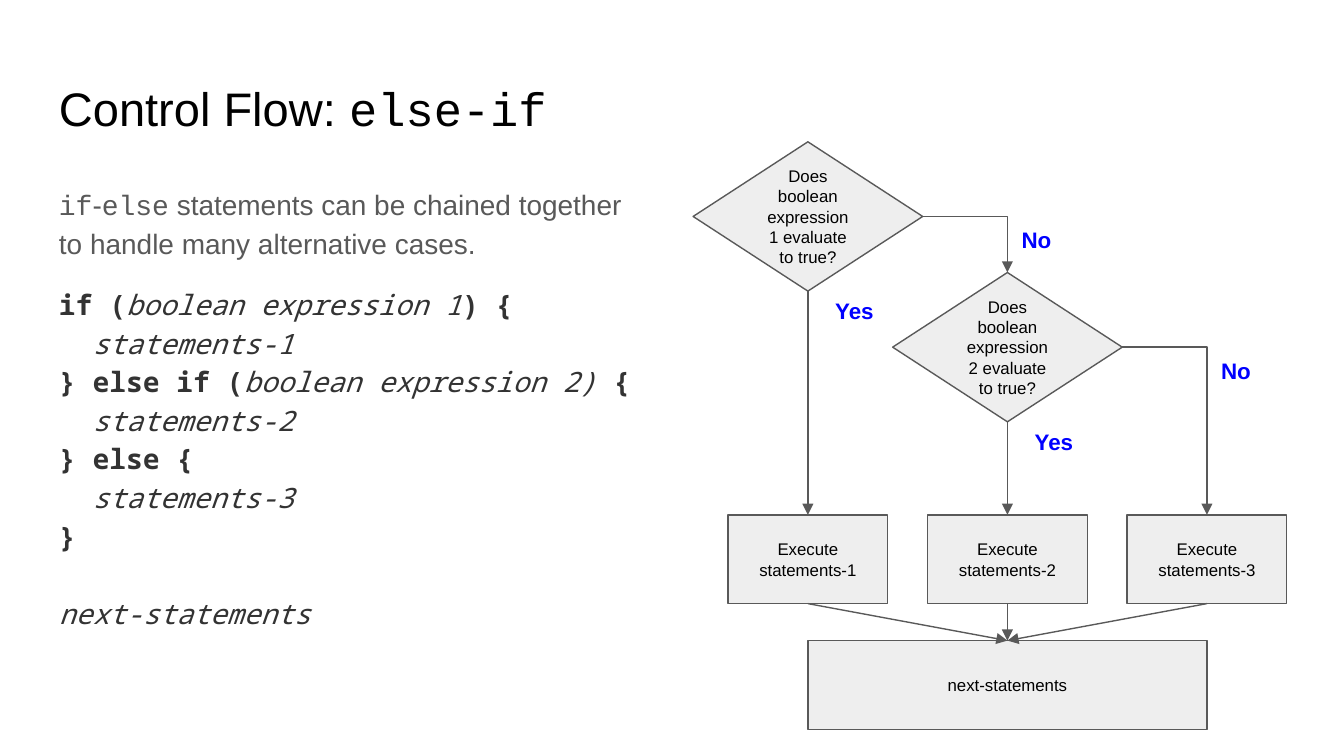
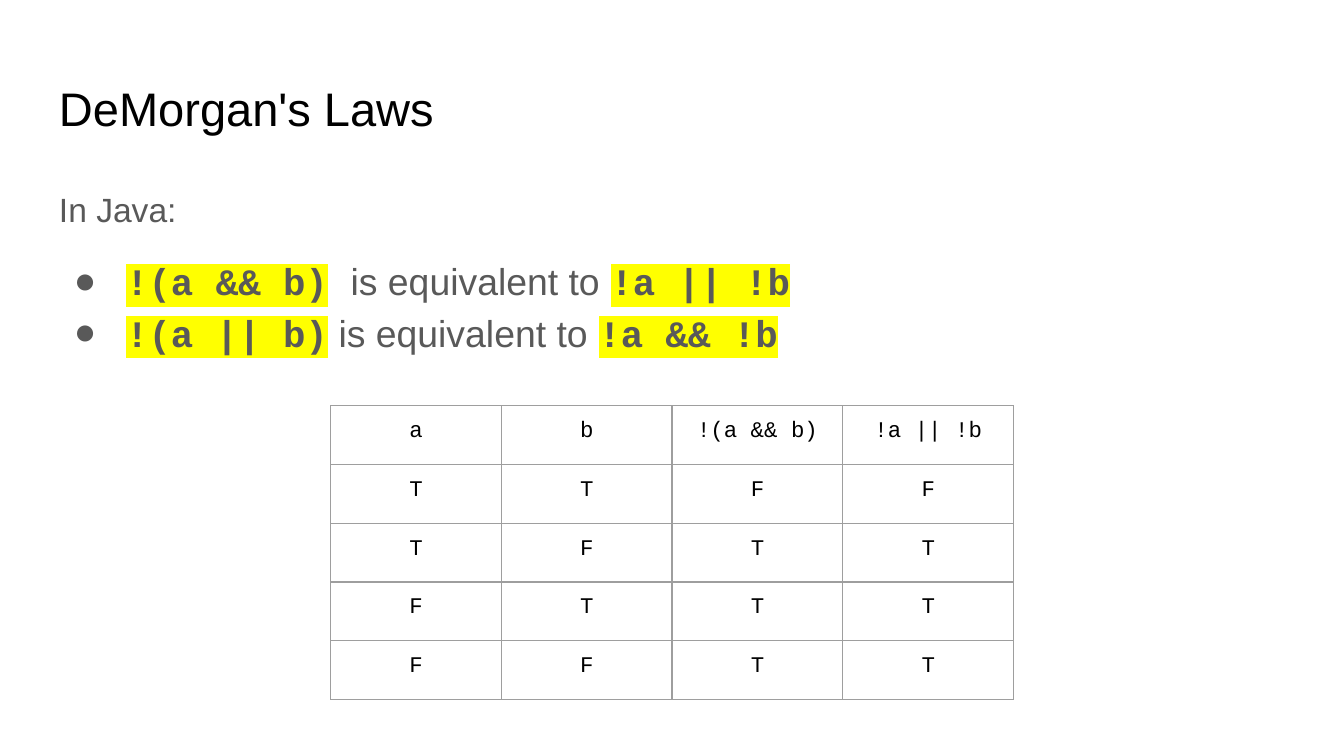
from dataclasses import dataclass
from typing import Any, Sequence

from lxml.etree import SubElement
from pptx import Presentation
from pptx.dml.color import RGBColor
from pptx.enum.shapes import MSO_CONNECTOR as ConnectorKind
from pptx.enum.shapes import MSO_SHAPE as ShapeKind
from pptx.enum.text import MSO_ANCHOR as Anchor
from pptx.enum.text import PP_ALIGN as Align
from pptx.oxml.ns import qn
from pptx.util import Pt

# Colours and fonts
BLACK = RGBColor(0x00, 0x00, 0x00)
GREY = RGBColor(0x59, 0x59, 0x59)
DARK = RGBColor(0x33, 0x33, 0x33)
BLUE = RGBColor(0x00, 0x00, 0xFF)
YELLOW = RGBColor(0xFF, 0xFF, 0x00)
NODE_FILL = RGBColor(0xEE, 0xEE, 0xEE)
GRID = RGBColor(0x9E, 0x9E, 0x9E)
SANS, COURIER, MONO = "Arial", "Courier New", "Noto Sans Mono"

Format = dict[str, Any]
INSET = Pt(7.2)
LINE_WIDTH = Pt(0.75)
LEFT = 24.5

# Text formats
TITLE: Format = dict(name=SANS, size=Pt(25.2), color=BLACK)
TITLE_CODE = TITLE | dict(name=COURIER)
BODY: Format = dict(name=SANS, size=Pt(15), color=GREY)
BODY_CODE = BODY | dict(name=COURIER)
KEYWORD: Format = dict(name=MONO, size=Pt(15), color=DARK, bold=True)
BLANK_PART = KEYWORD | dict(bold=False, italic=True)
INTRO = BODY | dict(size=Pt(18))
LAW = BODY | dict(size=Pt(20))
LAW_CODE = LAW | dict(name=COURIER, bold=True)
MARKED = LAW_CODE | dict(highlight=YELLOW)
NODE: Format = dict(name=SANS, size=Pt(9), color=BLACK)
ANSWER: Format = dict(name=SANS, size=Pt(12), color=BLUE, bold=True)
CELL: Format = dict(name=COURIER, size=Pt(12), color=BLACK)


@dataclass(frozen=True)
class Span:
    text: str
    style: Format


@dataclass(frozen=True)
class Para:
    spans: Sequence[Span]
    before: float = 0
    spacing: float | None = None
    align: Align | None = None
    bullet: bool = False


@dataclass(frozen=True)
class Area:
    left: float
    top: float
    width: float
    height: float

    def lengths(self) -> list[Pt]:
        return [Pt(v) for v in (self.left, self.top, self.width, self.height)]


def add_span(paragraph, span: Span) -> None:
    run = paragraph.add_run()
    run.text = span.text
    for key, value in span.style.items():
        if key == "color":
            run.font.color.rgb = value
        elif key != "highlight":
            setattr(run.font, key, value)
    if "highlight" in span.style:
        properties = run.font._element
        mark = SubElement(properties, qn("a:highlight"))
        SubElement(mark, qn("a:srgbClr"), val=str(span.style["highlight"]))
        properties.find(qn("a:solidFill")).addnext(mark)


def add_bullet(paragraph) -> None:
    properties = paragraph._p.get_or_add_pPr()
    properties.set("marL", str(Pt(36)))
    properties.set("indent", str(-Pt(28)))
    color = SubElement(properties, qn("a:buClr"))
    SubElement(color, qn("a:srgbClr"), val=str(GREY))
    SubElement(properties, qn("a:buFont"), typeface=SANS)
    SubElement(properties, qn("a:buChar"), char="●")


def write(frame, paras: Sequence[Para], anchor: Anchor = Anchor.TOP) -> None:
    layout = dict(word_wrap=True, vertical_anchor=anchor, margin_left=INSET,
                  margin_right=INSET, margin_top=INSET, margin_bottom=INSET)
    for key, value in layout.items():
        setattr(frame, key, value)
    for index, para in enumerate(paras):
        paragraph = frame.add_paragraph() if index else frame.paragraphs[0]
        if para.bullet:
            add_bullet(paragraph)
        values = dict(alignment=para.align, line_spacing=para.spacing,
                      space_before=Pt(para.before))
        for key, value in values.items():
            setattr(paragraph, key, value)
        for span in para.spans:
            add_span(paragraph, span)


def add_text(page, area: Area, paras: Sequence[Para]) -> None:
    write(page.shapes.add_textbox(*area.lengths()).text_frame, paras)


def add_page(deck, title: Sequence[Span]):
    page = deck.slides.add_slide(deck.slide_layouts[6])
    page.background.fill.solid()
    page.background.fill.fore_color.rgb = RGBColor(0xFF, 0xFF, 0xFF)
    add_text(page, Area(LEFT, 35.3, 671, 45.4), [Para(title)])
    return page


def add_node(page, kind: ShapeKind, area: Area, text: str):
    box = page.shapes.add_shape(kind, *area.lengths())
    box.shadow.inherit = False
    box.fill.solid()
    box.fill.fore_color.rgb = NODE_FILL
    box.line.color.rgb = GREY
    box.line.width = LINE_WIDTH
    write(box.text_frame, [Para([Span(text, NODE)], align=Align.CENTER)], Anchor.MIDDLE)
    return box


# Connection sites of diamonds and rectangles
TOP, BOTTOM, RIGHT = 0, 2, 3


def add_arrow(page, source, target, site: int = BOTTOM) -> None:
    bent = site == RIGHT
    kind = ConnectorKind.ELBOW if bent else ConnectorKind.STRAIGHT
    arrow = page.shapes.add_connector(kind, 0, 0, 0, 0)
    arrow.begin_connect(source, site)
    arrow.end_connect(target, TOP)
    arrow.line.color.rgb = GREY
    arrow.line.width = LINE_WIDTH
    properties = arrow._element.spPr
    if bent:
        properties.find(qn("a:prstGeom")).set("prst", "bentConnector2")
    SubElement(properties.find(qn("a:ln")), qn("a:tailEnd"), type="triangle")
    SubElement(properties, qn("a:effectLst"))


# Flowchart: one lane for each branch
LANES = [432.8 + 106.9 * i for i in range(3)]
DIAMOND_WIDTH, DIAMOND_HEIGHT, DIAMOND_TOP, DIAMOND_STEP = 123, 80, 76, 70
BOX_WIDTH, BOX_HEIGHT, BOX_TOP, NEXT_TOP = 85.6, 47.6, 275.8, 343.2


def draw_flowchart(page) -> None:
    tests = [
        add_node(page, ShapeKind.FLOWCHART_DECISION,
                 Area(lane - DIAMOND_WIDTH / 2, DIAMOND_TOP + DIAMOND_STEP * i,
                      DIAMOND_WIDTH, DIAMOND_HEIGHT),
                 f"Does boolean expression {i + 1} evaluate to true?")
        for i, lane in enumerate(LANES[:2])
    ]
    branches = [
        add_node(page, ShapeKind.RECTANGLE,
                 Area(lane - BOX_WIDTH / 2, BOX_TOP, BOX_WIDTH, BOX_HEIGHT),
                 f"Execute statements-{i + 1}")
        for i, lane in enumerate(LANES)
    ]
    following = add_node(page, ShapeKind.RECTANGLE,
                         Area(LANES[0], NEXT_TOP, LANES[2] - LANES[0], BOX_HEIGHT),
                         "next-statements")

    otherwise = [tests[1], branches[2]]
    for i, test in enumerate(tests):
        add_arrow(page, test, branches[i])
        add_arrow(page, test, otherwise[i], RIGHT)
        shift = DIAMOND_STEP * i
        for word, left, top in (("Yes", LANES[i] + 7.5, 152), ("No", LANES[i + 1] + 0.5, 114)):
            add_text(page, Area(left, top + shift, 36, 29), [Para([Span(word, ANSWER)])])
    for branch in branches:
        add_arrow(page, branch, following)


def code_line(*parts: str, before: float = 0) -> Para:
    """Keywords and italic blanks take turns, starting with a keyword."""
    styles = (KEYWORD, BLANK_PART)
    spans = [Span(text, styles[i % 2]) for i, text in enumerate(parts) if text]
    return Para(spans, before, 1.15)


def build_else_if(deck) -> None:
    page = add_page(deck, [Span("Control Flow: ", TITLE), Span("else-if", TITLE_CODE)])
    add_text(page, Area(LEFT, 90.7, 330.5, 300), [
        Para([Span("if", BODY_CODE), Span("-", BODY), Span("else", BODY_CODE),
              Span(" statements can be chained together to handle many alternative cases.",
                   BODY)], spacing=1.15),
        code_line("if (", "boolean expression 1", ") {", before=12),
        code_line("  ", "statements-1"),
        code_line("} else if (", "boolean expression 2)", " {"),
        code_line("  ", "statements-2"),
        code_line("} else {"),
        code_line("  ", "statements-3"),
        code_line("}"),
        code_line("", "next-statements", before=20.6),
    ])
    draw_flowchart(page)


TRUTH_ROWS = [
    ("a", "b", "!(a && b)", "!a || !b"),
    tuple("TTFF"),
    tuple("TFTT"),
    tuple("FTTT"),
    tuple("FFTT"),
]
COLUMN_WIDTH, ROW_HEIGHT = 91.5, 31.5


def style_cell(cell) -> None:
    properties = cell._tc.get_or_add_tcPr()
    for side in ("lnL", "lnR", "lnT", "lnB"):
        border = SubElement(properties, qn(f"a:{side}"), w=str(LINE_WIDTH))
        fill = SubElement(border, qn("a:solidFill"))
        SubElement(fill, qn("a:srgbClr"), val=str(GRID))
    cell.fill.background()
    for side in ("left", "right", "top", "bottom"):
        setattr(cell, f"margin_{side}", INSET)


def draw_truth_table(page) -> None:
    rows, columns = len(TRUTH_ROWS), len(TRUTH_ROWS[0])
    area = Area(177.1, 217.3, COLUMN_WIDTH * columns, ROW_HEIGHT * rows)
    table = page.shapes.add_table(rows, columns, *area.lengths()).table
    table.first_row = table.horz_banding = False
    for r, values in enumerate(TRUTH_ROWS):
        for c, value in enumerate(values):
            cell = table.cell(r, c)
            style_cell(cell)
            paragraph = cell.text_frame.paragraphs[0]
            paragraph.alignment = Align.CENTER
            add_span(paragraph, Span(value, CELL))


def build_laws(deck) -> None:
    page = add_page(deck, [Span("DeMorgan's Laws", TITLE)])
    add_text(page, Area(LEFT, 90.7, 671, 126.7), [
        Para([Span("In Java:", INTRO)], spacing=1.15),
        Para([Span("!(a && b)", MARKED), Span(" ", LAW_CODE),
              Span("is equivalent to ", LAW), Span("!a || !b", MARKED)], 12, 1.15, bullet=True),
        Para([Span("!(a || b)", MARKED), Span(" is equivalent to ", LAW),
              Span("!a && !b", MARKED)], spacing=1.15, bullet=True),
    ])
    draw_truth_table(page)


def main() -> None:
    deck = Presentation()
    deck.slide_width, deck.slide_height = Pt(720), Pt(405)
    build_else_if(deck)
    build_laws(deck)
    deck.save("out.pptx")


if __name__ == "__main__":
    main()
